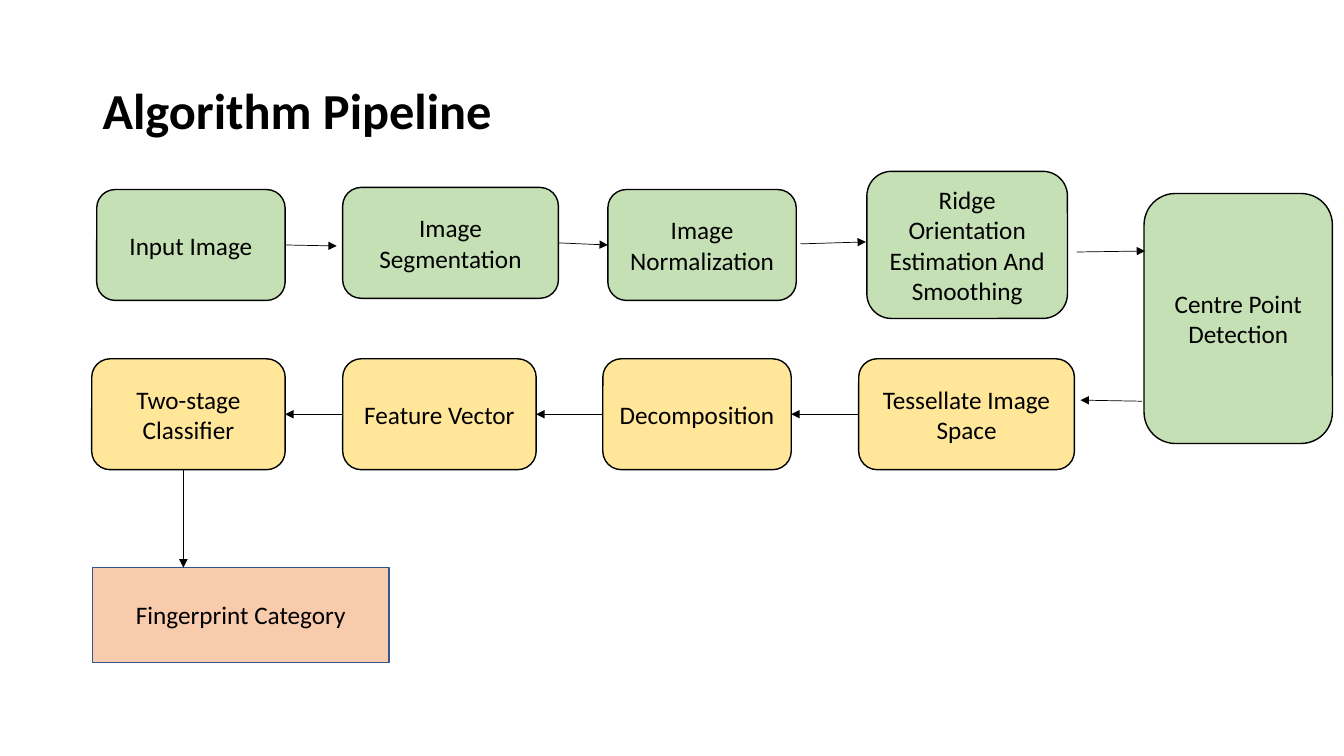
"""Build the Algorithm Pipeline slide: a flow of processing steps joined by arrows."""
import lxml.etree
import pptx
import pptx.dml.color
import pptx.enum.shapes
import pptx.enum.text
import pptx.oxml.ns
import pptx.util

Pt = pptx.util.Pt
RGBColor = pptx.dml.color.RGBColor
MSO_SHAPE = pptx.enum.shapes.MSO_SHAPE

BLACK = RGBColor(0x00, 0x00, 0x00)
GREEN = RGBColor(0xC5, 0xE0, 0xB4)
YELLOW = RGBColor(0xFF, 0xE6, 0x99)
ORANGE = RGBColor(0xF8, 0xCB, 0xAD)
BLUE = RGBColor(0x32, 0x54, 0x91)
FONT = "Calibri"
TOP, LEFT, RIGHT = 0, 1, 3
STEP_HEIGHT = 79.2
LOWER_TOP = 256.3


def write_text(shape, text, size, bold=False):
    frame = shape.text_frame
    frame.word_wrap = True
    frame.vertical_anchor = pptx.enum.text.MSO_ANCHOR.MIDDLE
    paragraph = frame.paragraphs[0]
    paragraph.text = text
    paragraph.font.name = FONT
    paragraph.font.size = Pt(size)
    paragraph.font.bold = bold
    paragraph.font.color.rgb = BLACK
    return paragraph


def add_arrow(start, end):
    connector = slide.shapes.add_connector(
        pptx.enum.shapes.MSO_CONNECTOR.STRAIGHT, *[Pt(value) for value in start + end])
    connector.line.color.rgb = BLACK
    connector.line.width = Pt(0.5)
    line = connector.line._get_or_add_ln()
    lxml.etree.SubElement(line, pptx.oxml.ns.qn("a:tailEnd"), type="triangle")
    lxml.etree.SubElement(connector._element.spPr, pptx.oxml.ns.qn("a:effectLst"))
    return connector


presentation = pptx.Presentation()
presentation.slide_width = Pt(960)
presentation.slide_height = Pt(540)
slide = presentation.slides.add_slide(presentation.slide_layouts[6])

title = slide.shapes.add_textbox(Pt(66.2), Pt(28.8), Pt(828), Pt(104.4))
write_text(title, "Algorithm Pipeline", 36, bold=True).line_spacing = 0.9

steps = [
    ("Input Image", 69.1, 135.4, 134.6, STEP_HEIGHT, GREEN),
    ("Image Segmentation", 244.8, 133.9, 154.1, STEP_HEIGHT, GREEN),
    ("Image Normalization", 434.2, 135.4, 134.6, STEP_HEIGHT, GREEN),
    ("Ridge Orientation Estimation And Smoothing", 619.2, 122.4, 143.3, 105.1, GREEN),
    ("Centre Point Detection", 817.2, 138.2, 134.6, 178.6, GREEN),
    ("Tessellate Image Space", 613.4, LOWER_TOP, 154.1, STEP_HEIGHT, YELLOW),
    ("Decomposition", 430.6, LOWER_TOP, 134.6, STEP_HEIGHT, YELLOW),
    ("Feature Vector", 244.8, LOWER_TOP, 138.2, STEP_HEIGHT, YELLOW),
    ("Two-stage Classifier", 65.5, LOWER_TOP, 138.2, STEP_HEIGHT, YELLOW),
    ("Fingerprint Category", 66.2, 405.4, 211.7, 67.7, ORANGE),
]
boxes = {}
for name, left, top, width, height, fill in steps:
    is_result = fill == ORANGE
    shape = slide.shapes.add_shape(
        MSO_SHAPE.RECTANGLE if is_result else MSO_SHAPE.ROUNDED_RECTANGLE,
        Pt(left), Pt(top), Pt(width), Pt(height))
    shape.shadow.inherit = False
    shape.fill.solid()
    shape.fill.fore_color.rgb = fill
    shape.line.color.rgb = BLUE if is_result else BLACK
    shape.line.width = Pt(1)
    write_text(shape, name, 18).alignment = pptx.enum.text.PP_ALIGN.CENTER
    boxes[name] = shape

arrows = [
    ((203.7, 175), (240.5, 175.7), ("Input Image", RIGHT), None),
    ((398.9, 173.5), (434.2, 175), ("Image Segmentation", RIGHT), ("Image Normalization", LEFT)),
    ((571.7, 174.2), (618.5, 172.8), None, None),
    ((769, 180), (817.9, 179.3), None, None),
    ((815.8, 286.6), (771.8, 285.8), None, None),
    ((613.4, 295.9), (565.2, 295.9), ("Tessellate Image Space", LEFT), ("Decomposition", RIGHT)),
    ((430.6, 295.9), (383, 295.9), ("Decomposition", LEFT), ("Feature Vector", RIGHT)),
    ((244.8, 295.9), (203.7, 295.9), ("Feature Vector", LEFT), ("Two-stage Classifier", RIGHT)),
    ((131, 335.5), (131, 405.4), None, None),
]
for start, end, source, target in arrows:
    arrow = add_arrow(start, end)
    if source:
        arrow.begin_connect(boxes[source[0]], source[1])
    if target:
        arrow.end_connect(boxes[target[0]], target[1])

presentation.save("out.pptx")
